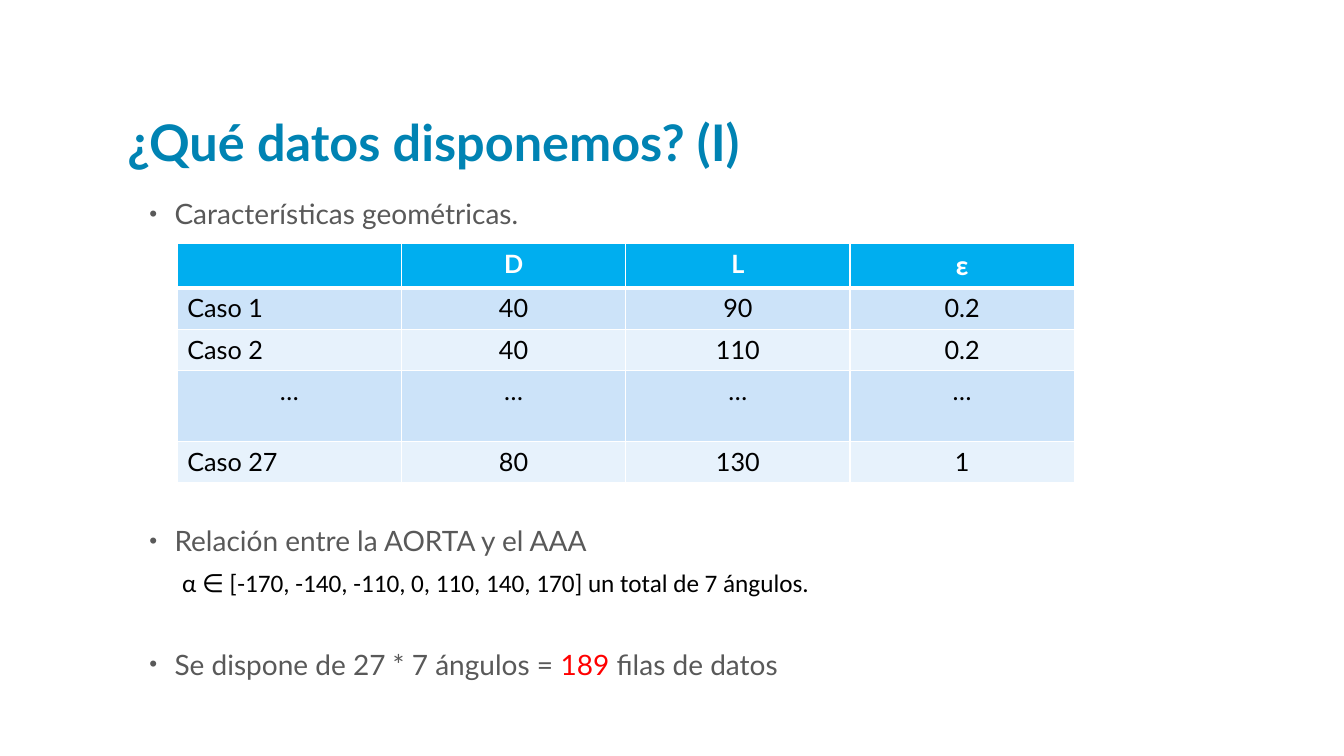
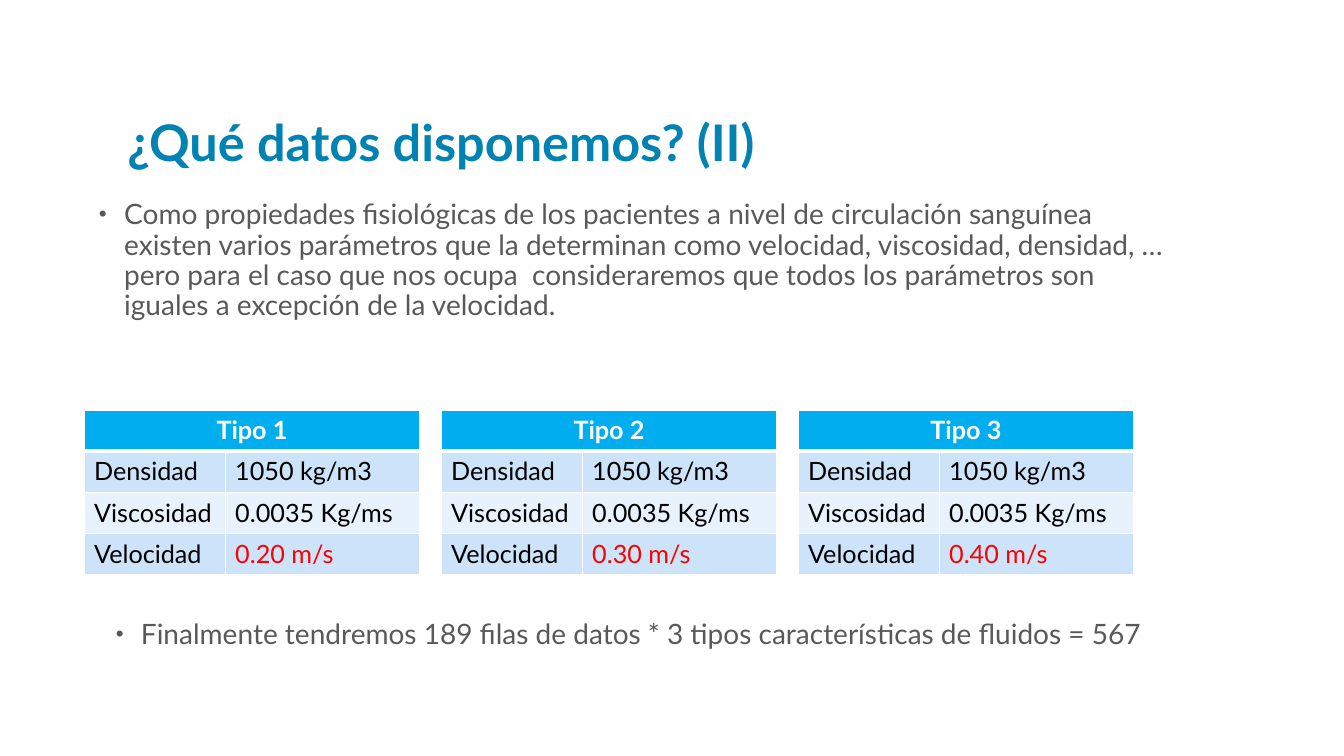
"""Builds two slides on the data available for the aneurysm cases."""
from lxml.etree import SubElement
from pptx import Presentation
from pptx.dml.color import RGBColor as RGB
from pptx.enum.text import MSO_ANCHOR as Anchor, PP_ALIGN as Align
from pptx.oxml import parse_xml
from pptx.oxml.ns import nsdecls, qn
from pptx.util import Emu, Inches, Pt

COLS, ROWS = 16, 9
UNIT = Inches(5 / 6)
BLUE = RGB(0x00, 0x83, 0xB3)
CYAN = RGB(0x00, 0xAE, 0xEF)
BANDS = RGB(0xCC, 0xE3, 0xF9), RGB(0xE7, 0xF2, 0xFC)
GREY = RGB(0x59, 0x59, 0x59)
BLACK = RGB(0, 0, 0)
WHITE = RGB(0xFF, 0xFF, 0xFF)
RED = RGB(0xFF, 0, 0)
LINE = 0.49


def grid(*sizes):
    return [Emu(round(size * UNIT)) for size in sizes]


class Deck:
    def __init__(self):
        self.file = Presentation()
        self.file.slide_width, self.file.slide_height = grid(COLS, ROWS)
        self.slide = None

    def page(self, title):
        self.slide = self.file.slides.add_slide(self.file.slide_layouts[6])
        frame = self.text((1.4, 0.7, 11.4, 1.4), title, 36, BLUE, bold=True)
        frame.vertical_anchor = Anchor.BOTTOM
        frame.paragraphs[0].line_spacing = 0.8

    def style(self, run, size, color, bold=False, face="Lato"):
        font = run.font
        font.size, font.bold, font.name = Pt(size), bold, face
        font.color.rgb = color

    def text(self, box, words, size, color, bold=False, face="Lato"):
        frame = self.slide.shapes.add_textbox(*grid(*box)).text_frame
        frame.word_wrap = True
        frame.text = words
        self.style(frame.paragraphs[0].runs[0], size, color, bold, face)
        return frame

    def bullet(self, box, words, *more):
        para = self.text(box, words, 20, GREY).paragraphs[0]
        for part, color in more:
            run = para.add_run()
            run.text = part
            self.style(run, 20, color)
        para.line_spacing = 0.9
        props = para._p.get_or_add_pPr()
        props.set("marL", str(Inches(0.3)))
        props.set("indent", str(Inches(-0.25)))
        tint = SubElement(props, qn("a:buClr"))
        SubElement(tint, qn("a:srgbClr"), val=str(GREY))
        SubElement(props, qn("a:buSzPct"), val="80000")
        SubElement(props, qn("a:buFont"), typeface="Arial")
        SubElement(props, qn("a:buChar"), char="•")

    def edges(self, cell, row):
        props = cell._tc.get_or_add_tcPr()
        widths = {"L": 1, "R": 1, "T": 3 if row == 1 else 1, "B": 1 if row else 3}
        for spot, (side, width) in enumerate(widths.items()):
            props.insert(spot, parse_xml(
                f'<a:ln{side} {nsdecls("a")} w="{Pt(width)}"><a:solidFill>'
                f'<a:srgbClr val="{WHITE}"/></a:solidFill></a:ln{side}>'))

    def table(self, left, top, widths, heights, data, mid=False, hot=None):
        shape = self.slide.shapes.add_table(
            len(heights), len(widths),
            *grid(left, top, sum(widths), sum(heights)))
        table = shape.table
        for col, width in zip(table.columns, grid(*widths)):
            col.width = width
        for row, height in zip(table.rows, grid(*heights)):
            row.height = height
        for r, line in enumerate(data):
            for c, words in enumerate(line):
                cell = table.cell(r, c)
                cell.fill.solid()
                cell.fill.fore_color.rgb = BANDS[(r - 1) % 2] if r else CYAN
                self.edges(cell, r)
                cell.text = words
                para = cell.text_frame.paragraphs[0]
                if r == 0 or words == "…" or (mid and c):
                    para.alignment = Align.CENTER
                color = RED if (r, c) == hot else BLACK if r else WHITE
                for run in para.runs:
                    if words == "ε":
                        self.style(run, 20, color, True, "Calibri")
                    else:
                        self.style(run, 18, color, r == 0)
        return table


def cases(deck):
    deck.page("¿Qué datos disponemos? (I)")
    deck.bullet((1.6, 2.33, 9, 0.8), "Características geométricas.")
    deck.table(2.11, 2.9, [2.67] * 4, [0.53, LINE, LINE, 0.85, LINE], [
        ("", "D", "L", "ε"),
        ("Caso 1", "40", "90", "0.2"),
        ("Caso 2", "40", "110", "0.2"),
        ("…",) * 4,
        ("Caso 27", "80", "130", "1"),
    ], mid=True)
    deck.bullet((1.6, 6.22, 9, 0.5), "Relación entre la AORTA y el AAA")
    deck.text((2.05, 6.7, 8.1, 0.48),
              "α ∈ [-170, -140, -110, 0, 110, 140, 170] un total de 7 ángulos.",
              18, BLACK, face="Calibri")
    deck.bullet((1.6, 7.69, 11.2, 1.08), "Se dispone de 27 * 7 ángulos = ",
                ("189", RED), (" filas de datos", GREY))


def fluids(deck):
    deck.page("¿Qué datos disponemos? (II)")
    deck.bullet(
        (1, 2.33, 13, 1.6),
        "Como propiedades fisiológicas de los pacientes a nivel de circulación "
        "sanguínea existen varios parámetros que la determinan como velocidad, "
        "viscosidad, densidad, … pero para el caso que nos ocupa  "
        "consideraremos que todos los parámetros son iguales a excepción de la "
        "velocidad.")
    for i, speed in enumerate(("0.20", "0.30", "0.40")):
        table = deck.table(1 + 4.25 * i, 4.88, [1.68, 2.32], [LINE] * 4, [
            (f"Tipo {i + 1}", ""),
            ("Densidad", "1050 kg/m3"),
            ("Viscosidad", "0.0035 Kg/ms"),
            ("Velocidad", f"{speed} m/s"),
        ], hot=(3, 1))
        table.cell(0, 0).merge(table.cell(0, 1))
    deck.bullet((1.2, 7.33, 13, 0.8), "Finalmente tendremos 189 filas de datos "
                "* 3 tipos características de fluidos = 567")


def main():
    deck = Deck()
    cases(deck)
    fluids(deck)
    deck.file.save("out.pptx")


if __name__ == "__main__":
    main()
